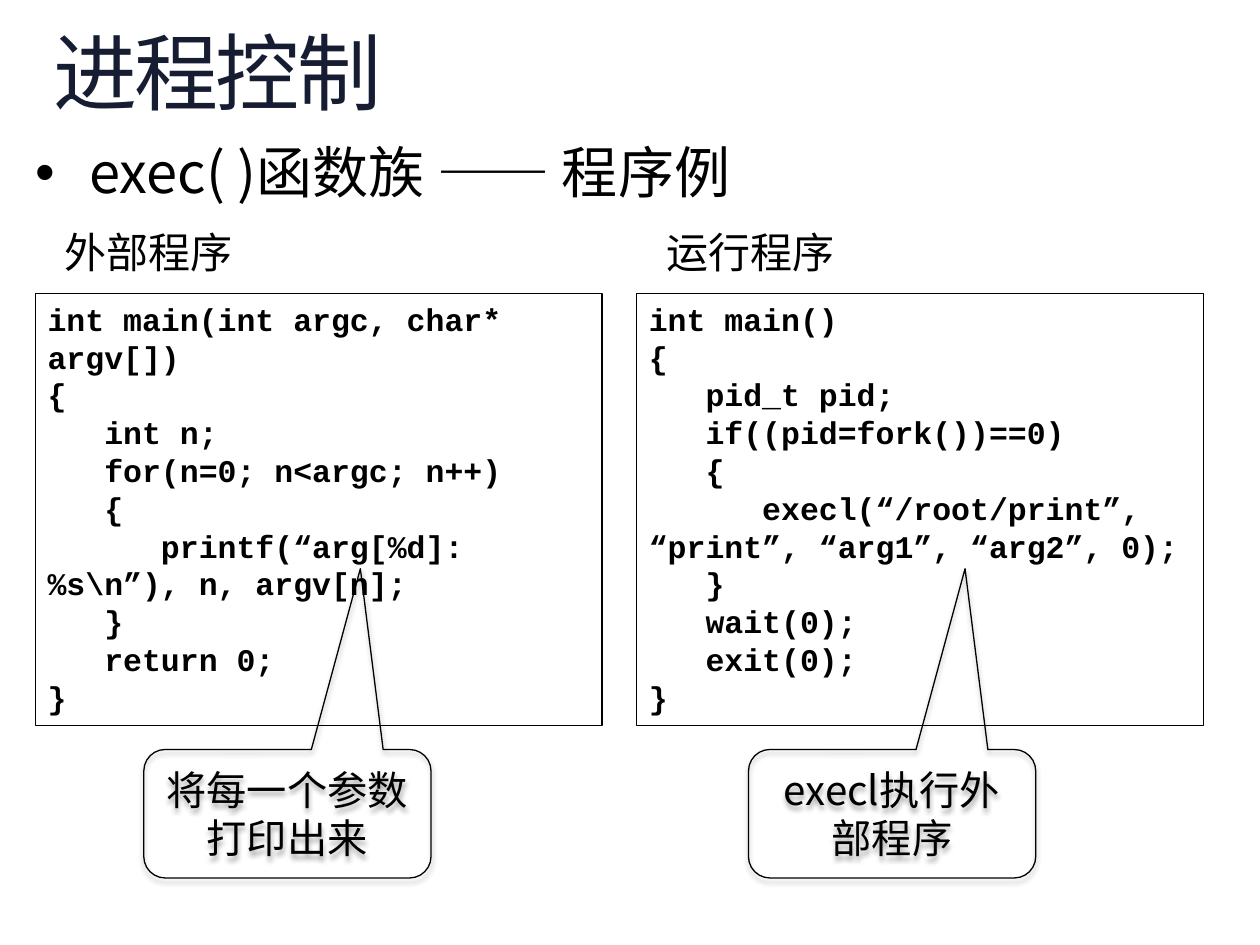
import pptx
import pptx.util
import pptx.dml.color
import pptx.enum.shapes
import pptx.enum.text
import pptx.oxml
import pptx.oxml.ns

Cm, Pt = pptx.util.Cm, pptx.util.Pt
MSO_SHAPE = pptx.enum.shapes.MSO_SHAPE
ALIGN = pptx.enum.text.PP_ALIGN
ANCHOR = pptx.enum.text.MSO_ANCHOR
NS = pptx.oxml.ns.nsdecls("a")

COLORS = {"ink": "000000", "title_top": "2E59B0", "title_mid": "161D32"}
CJK, LABEL, CODE = "Noto Sans CJK SC", "Calibri", "Courier New"

TITLE = "进程控制"
TOPIC = "exec( )函数族 —— 程序例"
PROGRAMS = [
    {
        "label": "外部程序",
        "code": [
            "int main(int argc, char* argv[])",
            "{",
            "   int n;",
            "   for(n=0; n<argc; n++)",
            "   {",
            "      printf(“arg[%d]:%s\\n”), n, argv[n];",
            "   }",
            "   return 0;",
            "}",
        ],
        "note": "将每一个参数打印出来",
        "left": 0.71,
        "note_left": 2.9,
    },
    {
        "label": "运行程序",
        "code": [
            "int main()",
            "{",
            "   pid_t pid;",
            "   if((pid=fork())==0)",
            "   {",
            "      execl(“/root/print”, “print”, “arg1”, “arg2”, 0);",
            "   }",
            "   wait(0);",
            "   exit(0);",
            "}",
        ],
        "note": "execl执行外部程序",
        "left": 12.83,
        "note_left": 15.09,
    },
]


def add_run(p, text, size, font, bold=False):
    r = p.add_run()
    r.text = text
    r.font.size = Pt(size)
    r.font.name = font
    r.font.bold = bold
    r.font.color.rgb = pptx.dml.color.RGBColor.from_string(COLORS["ink"])
    if font == CJK:
        r.font._element.append(pptx.oxml.parse_xml(f'<a:ea {NS} typeface="{CJK}"/>'))
    return r


def add_text(slide, box, text, size, font, margin=None, wrap=True):
    sp = slide.shapes.add_textbox(*map(Cm, box))
    tf = sp.text_frame
    tf.word_wrap = wrap
    if margin is not None:
        tf.margin_left = tf.margin_right = Cm(margin)
        tf.margin_top = tf.margin_bottom = Cm(margin)
    p = tf.paragraphs[0]
    return p, add_run(p, text, size, font)


def add_outline(slide, kind, box):
    sp = slide.shapes.add_shape(kind, *map(Cm, box))
    sp.shadow.inherit = False
    sp.fill.background()
    sp.line.color.rgb = pptx.dml.color.RGBColor.from_string(COLORS["ink"])
    sp.line.width = Pt(0.75)
    sp.text_frame.word_wrap = True
    return sp


def add_title(slide):
    p, r = add_text(slide, (1.07, 0.64, 23.29, 2.08), TITLE, 48, CJK, 0)
    p.line_spacing = 0.9
    rPr = r.font._element
    rPr.set("spc", "-150")
    rPr.remove(rPr.find(pptx.oxml.ns.qn("a:solidFill")))
    stops = "".join(
        f'<a:gs pos="{pos * 1000}"><a:srgbClr val="{COLORS[name]}"/></a:gs>'
        for pos, name in [(0, "title_top"), (49, "title_mid"), (100, "ink")]
    )
    rPr.insert(0, pptx.oxml.parse_xml(
        f'<a:gradFill {NS}><a:gsLst>{stops}</a:gsLst>'
        '<a:lin ang="5400000" scaled="0"/></a:gradFill>'))


def add_topic(slide):
    p, r = add_text(slide, (0.71, 2.92, 19.81, 10.26), TOPIC, 32, CJK, 0)
    p.line_spacing = 0.9
    pPr = p._p.get_or_add_pPr()
    pPr.set("marL", str(Cm(1.09)))
    pPr.set("indent", str(-Cm(1.09)))
    pPr.append(pptx.oxml.parse_xml(f'<a:buFont {NS} typeface="Arial"/>'))
    pPr.append(pptx.oxml.parse_xml(f'<a:buChar {NS} char="•"/>'))


def add_code(slide, left, lines):
    sp = add_outline(slide, MSO_SHAPE.RECTANGLE, (left, 5.92, 11.43, 8.71))
    tf = sp.text_frame
    tf.vertical_anchor = ANCHOR.TOP
    for i, line in enumerate(lines):
        p = tf.add_paragraph() if i else tf.paragraphs[0]
        p.alignment = ALIGN.LEFT
        add_run(p, line, 18, CODE, True)


def add_note(slide, left, text):
    sp = add_outline(slide, MSO_SHAPE.ROUNDED_RECTANGULAR_CALLOUT, (left, 15.11, 5.79, 2.59))
    for i, value in enumerate((0.254, -1.907, 0.167)):
        sp.adjustments[i] = value
    effects = sp._element.spPr.find(pptx.oxml.ns.qn("a:effectLst"))
    effects.append(pptx.oxml.parse_xml(
        f'<a:outerShdw {NS} blurRad="{Pt(3.1)}" dist="{Pt(1.8)}" dir="5400000" rotWithShape="0">'
        f'<a:srgbClr val="{COLORS["ink"]}"><a:alpha val="35000"/></a:srgbClr></a:outerShdw>'))
    tf = sp.text_frame
    tf.vertical_anchor = ANCHOR.MIDDLE
    p = tf.paragraphs[0]
    p.alignment = ALIGN.CENTER
    add_run(p, text, 23, CJK)


def main():
    prs = pptx.Presentation()
    prs.slide_width, prs.slide_height = Cm(25.4), Cm(19.05)
    s = prs.slides.add_slide(prs.slide_layouts[6])
    add_title(s)
    add_topic(s)
    for program in PROGRAMS:
        add_code(s, program["left"], program["code"])
    for program in PROGRAMS:
        add_note(s, program["note_left"], program["note"])
        add_text(s, (program["left"] + 0.35, 4.45, 3.94, 1.27),
                 program["label"], 24, LABEL, wrap=False)
    prs.save("out.pptx")


if __name__ == "__main__":
    main()
